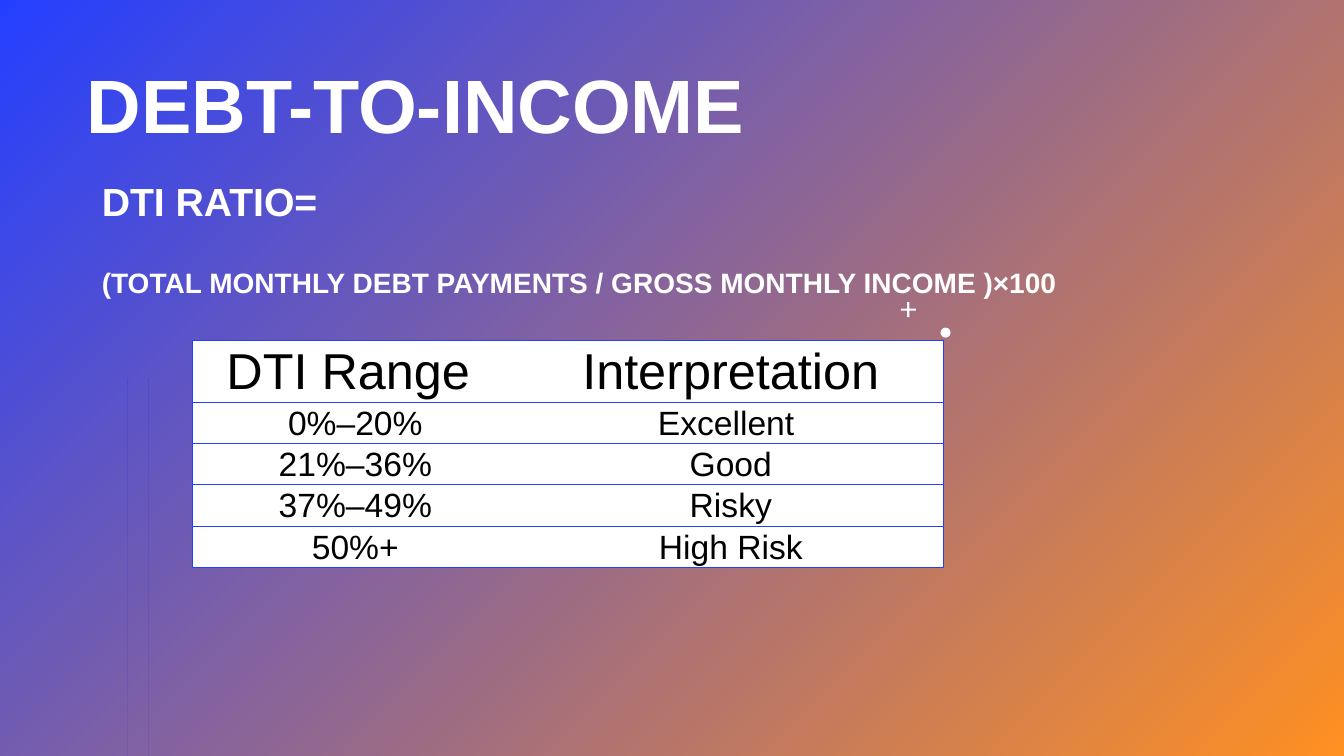
import pptx
import pptx.util
import pptx.dml.color
import pptx.enum.shapes
import pptx.enum.text
import pptx.oxml
import pptx.oxml.ns

Pt = pptx.util.Pt
Kind = pptx.enum.shapes.MSO_SHAPE
Anchor = pptx.enum.text.MSO_ANCHOR
Align = pptx.enum.text.PP_ALIGN

TITLE = [("DEBT-TO-INCOME", "title")]
RATIO = [
    ("DTI RATIO=", "lead"),
    ("(TOTAL MONTHLY DEBT PAYMENTS / GROSS MONTHLY INCOME )×100", "sub"),
]
RANGES = [
    ("DTI Range ", "Interpretation"),
    ("0%–20%", "Excellent "),
    ("21%–36%", "Good"),
    ("37%–49%", "Risky"),
    ("50%+", "High Risk"),
]

THEME = {
    "font": "Arial",
    "blue": "243FFF", "orange": "FF9022", "white": "FFFFFF", "black": "000000",
    "title": 54, "lead": 28, "sub": 20, "head": 36, "cell": 24,
    "leading": 54, "rule": 1,
}

# Boxes: left, top, width, height in points
PAGE = (960, 540)
STRIP = (91.44, 270, 14.4, 270)
DOT = (671.8, 234, 7.2, 7.2)
PLUS = (643.4, 215.8, 10.8, 10.8)
TITLE_BOX = (61.9, 20.9, 756.7, 85)
RATIO_BOX = (72.7, 113.8, 792, 100.1)
GRID = (137.5, 243.4)
COLS = (232.6, 303.8)
HEAD_H, ROW_H = 39.6, 27.2


def tint(name):
    return pptx.dml.color.RGBColor.from_string(THEME[name])


def add_run(para, text, size, color, bold=False):
    run = para.add_run()
    run.text = text
    font = run.font
    font.name, font.size, font.bold = THEME["font"], Pt(THEME[size]), bold
    font.color.rgb = tint(color)


def add_text(slide, box, lines):
    frame = slide.shapes.add_textbox(*map(Pt, box)).text_frame
    frame.word_wrap = True
    frame.vertical_anchor = Anchor.BOTTOM
    frame.margin_left = frame.margin_right = 0
    frame.margin_top = frame.margin_bottom = 0
    para = frame.paragraphs[0]
    para.line_spacing = Pt(THEME["leading"])
    for i, (text, size) in enumerate(lines):
        if i:
            para.add_line_break()
        add_run(para, text, size, "white", True)


def add_shape(slide, kind, box):
    shape = slide.shapes.add_shape(kind, *map(Pt, box))
    shape.shadow.inherit = False
    shape.line.fill.background()
    shape.fill.solid()
    shape.fill.fore_color.rgb = tint("white")
    return shape


def add_strip(slide):
    """Band that shows the slide background through itself."""
    strip = add_shape(slide, Kind.RECTANGLE, STRIP)
    node = strip.element
    node.set("useBgFill", "1")
    node.spPr.remove(node.spPr.find(pptx.oxml.ns.qn("a:solidFill")))
    node.remove(node.find(pptx.oxml.ns.qn("p:style")))


def set_edges(cell, sides):
    props = cell._tc.get_or_add_tcPr()
    for i, side in enumerate("LRTB"):
        fill = "<a:noFill/>"
        if side in sides:
            fill = f'<a:solidFill><a:srgbClr val="{THEME["blue"]}"/></a:solidFill>'
        props.insert(i, pptx.oxml.parse_xml(
            f'<a:ln{side} {pptx.oxml.ns.nsdecls("a")} w="{Pt(THEME["rule"])}">'
            f"{fill}</a:ln{side}>"))


def add_grid(slide):
    high = [HEAD_H] + [ROW_H] * (len(RANGES) - 1)
    size = (sum(COLS), sum(high))
    table = slide.shapes.add_table(
        len(RANGES), len(COLS), *map(Pt, GRID + size)).table
    table.first_row = table.horz_banding = False
    for col, width in zip(table.columns, COLS):
        col.width = Pt(width)
    for r, row in enumerate(RANGES):
        table.rows[r].height = Pt(high[r])
        for c, text in enumerate(row):
            cell = table.cell(r, c)
            cell.margin_left = cell.margin_right = cell.margin_top = Pt(0.7)
            cell.margin_bottom = 0
            cell.vertical_anchor = Anchor.MIDDLE
            cell.fill.solid()
            cell.fill.fore_color.rgb = tint("white")
            set_edges(cell, "TBR" if c else "TBL")
            para = cell.text_frame.paragraphs[0]
            para.alignment = Align.CENTER
            add_run(para, text, "cell" if r else "head", "black")


def main():
    deck = pptx.Presentation()
    deck.slide_width, deck.slide_height = map(Pt, PAGE)
    slide = deck.slides.add_slide(deck.slide_layouts[6])
    fill = slide.background.fill
    fill.gradient()
    fill.gradient_angle = 315
    for stop, name in zip(fill.gradient_stops, ("blue", "orange")):
        stop.color.rgb = tint(name)
    add_shape(slide, Kind.OVAL, DOT)
    add_shape(slide, Kind.CROSS, PLUS).adjustments[0] = 0.43
    add_strip(slide)
    add_text(slide, TITLE_BOX, TITLE)
    add_text(slide, RATIO_BOX, RATIO)
    add_grid(slide)
    deck.save("out.pptx")


if __name__ == "__main__":
    main()
